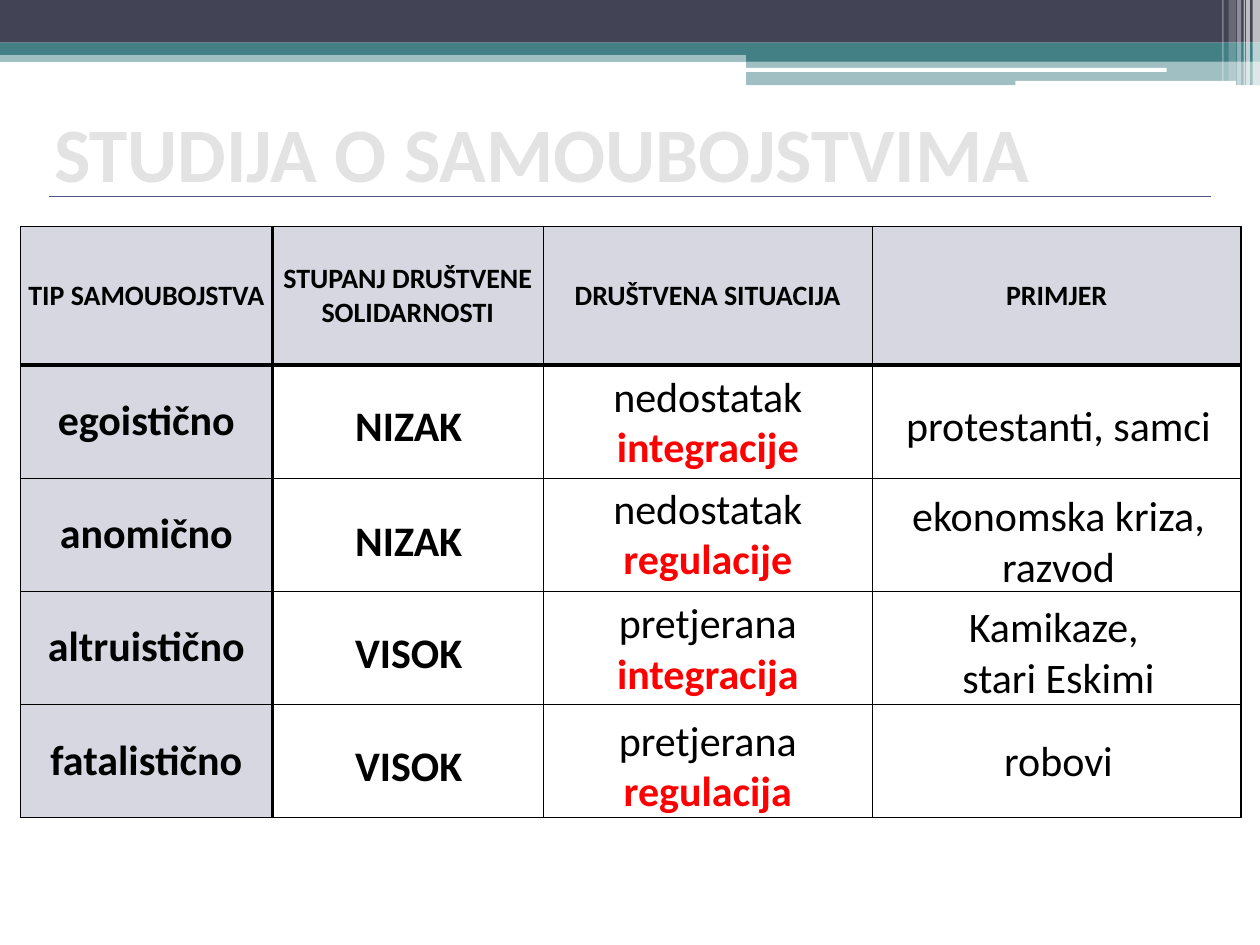
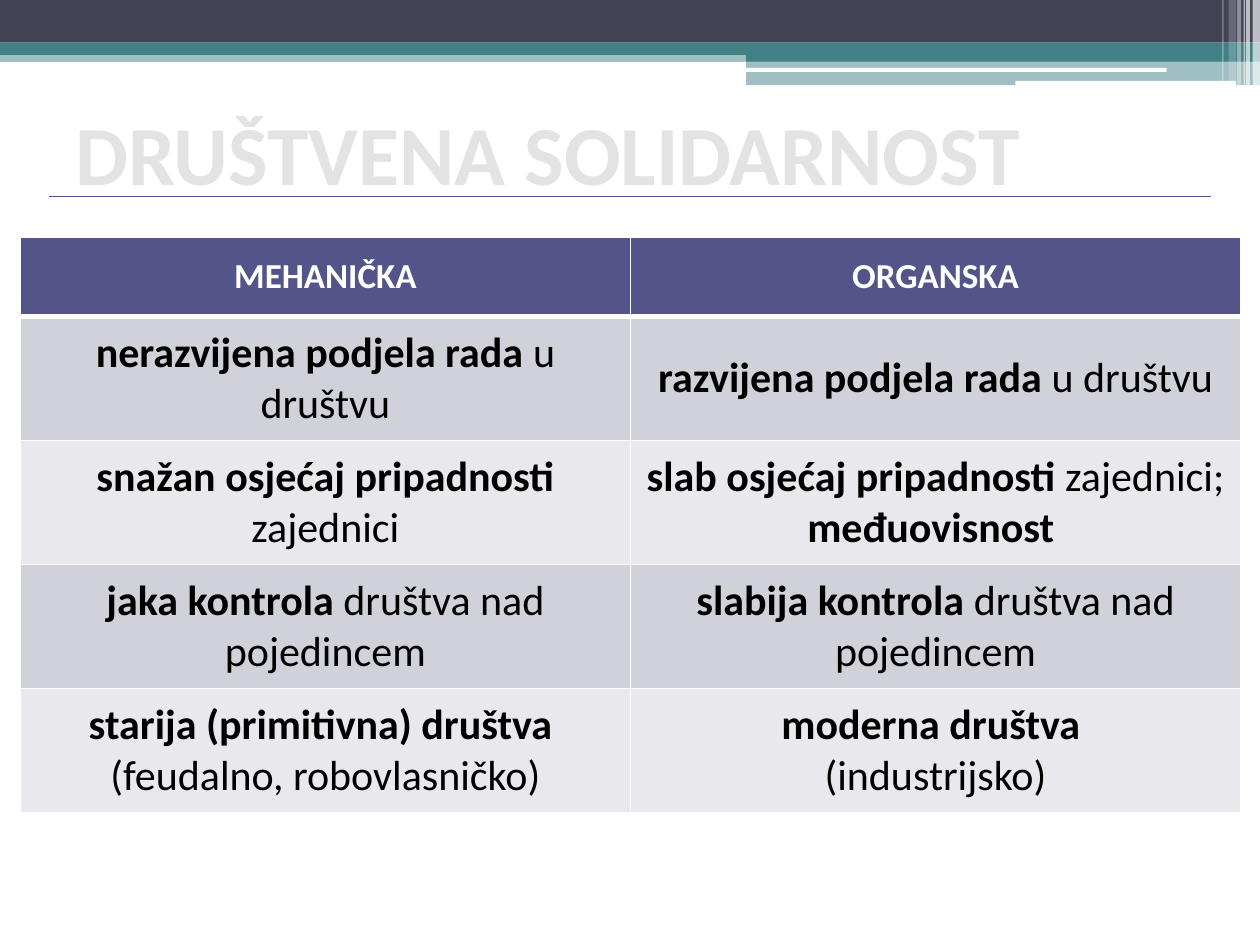
from lxml import etree
from pptx import Presentation
from pptx import util as u
from pptx.dml.color import RGBColor
from pptx.enum import shapes, text
from pptx.oxml.ns import qn

Cm, Pt = u.Cm, u.Pt
FONT = "Calibri"
COLORS = {
    "navy": "424456", "teal": "438086", "white": "FFFFFF", "black": "000000",
    "violet": "53548A", "title": "E3E3E3", "outline": "3D405C", "red": "FF0000",
    "lilac": "D6D7E0", "band dark": "D1D1DA", "band light": "E9E9ED",
}
WIDTH, HEIGHT = 25.4, 19.05

# left, top, width, height in cm, colour, opacity in percent
BANDS = [
    (0, 1.02, WIDTH, 0.23, "teal", 50),
    (0, 0, WIDTH, 0.86, "navy", 100),
    (0, 0.86, WIDTH, 0.25, "teal", 100),
    (15.04, 0.99, 10.36, 0.25, "teal", 100),
    (15.04, 1.22, 10.36, 0.5, "teal", 50),
]
ROUNDED_BARS = [
    (15.01, 1.37, 8.51, 0.08, "white", 100),
    (20.47, 1.63, 4.45, 0.1, "white", 100),
]
STRIPES = [
    (25.25, 0, 0.15, 1.73, "white", 65),
    (25.12, 0, 0.08, 1.73, "white", 65),
    (25.07, 0, 0.03, 1.73, "white", 60),
    (24.94, 0, 0.08, 1.73, "white", 40),
    (24.77, 0, 0.15, 1.63, "white", 20),
    (24.64, 0, 0.03, 1.63, "white", 30),
]

# Text between double asterisks is bold; a line break starts a paragraph.
SUICIDE = {
    "title": "STUDIJA O SAMOUBOJSTVIMA",
    "headers": ["TIP SAMOUBOJSTVA", "STUPANJ DRUŠTVENE SOLIDARNOSTI",
                "DRUŠTVENA SITUACIJA", "PRIMJER"],
    "types": ["egoistično", "anomično", "altruistično", "fatalistično"],
    # each answer: top in cm, number of lines, text
    "answers": [
        {"left": 17.68, "width": 7.32, "items": [
            (7.92, 1, "protestanti, samci"),
            (9.75, 2, "ekonomska kriza, razvod"),
            (11.99, 2, "Kamikaze, \nstari Eskimi"),
            (14.68, 1, "robovi")]},
        {"left": 5.56, "width": 5.36, "items": [
            (7.92, 1, "**NIZAK**"),
            (10.24, 1, "**NIZAK**"),
            (12.5, 1, "**VISOK**"),
            (14.78, 1, "**VISOK**")]},
        {"left": 11.3, "width": 5.94, "strong": "red", "items": [
            (7.34, 2, "nedostatak **integracije**"),
            (9.6, 2, "nedostatak **regulacije**"),
            (11.91, 2, "pretjerana **integracija**"),
            (14.27, 2, "pretjerana **regulacija**")]},
    ],
}
SOLIDARITY = {
    "title": "DRUŠTVENA SOLIDARNOST",
    "headers": ["MEHANIČKA", "ORGANSKA"],
    "rows": [
        ("**nerazvijena podjela rada **u društvu",
         "**razvijena podjela rada **u društvu"),
        ("**snažan osjećaj pripadnosti **zajednici",
         "**slab osjećaj pripadnosti **zajednici; **međuovisnost **"),
        ("**jaka kontrola **društva nad pojedincem",
         "**slabija kontrola **društva nad pojedincem"),
        ("**starija (primitivna) društva **\n(feudalno, robovlasničko)",
         "**moderna društva **\n(industrijsko)"),
    ],
}


def rgb(color):
    return RGBColor.from_string(COLORS[color])


def style_run(run, size, color, bold):
    run.font.name, run.font.size, run.font.bold = FONT, Pt(size), bold
    run.font.color.rgb = rgb(color)


def write(frame, marked, size, color="black", strong=None):
    """Write centred text, with the bold parts in the strong colour."""
    frame.text = ""
    for number, line in enumerate(marked.split("\n")):
        paragraph = frame.add_paragraph() if number else frame.paragraphs[0]
        paragraph.alignment = text.PP_ALIGN.CENTER
        for position, part in enumerate(line.split("**")):
            if part:
                bold = position % 2 == 1
                run = paragraph.add_run()
                run.text = part
                style_run(run, size, strong if bold and strong else color, bold)


def add_line_xml(parent, tag, color, points, index):
    line = etree.Element(qn(tag), w=str(Pt(points)))
    fill = etree.SubElement(line, qn("a:solidFill"))
    etree.SubElement(fill, qn("a:srgbClr"), val=COLORS[color])
    parent.insert(index, line)


def add_bar(slide, preset, bar):
    *place, color, opacity = bar
    shape = slide.shapes.add_shape(preset, *map(Cm, place))
    shape.shadow.inherit = False
    shape.line.fill.background()
    shape.fill.solid()
    shape.fill.fore_color.rgb = rgb(color)
    if opacity < 100:
        tint = shape.fill._xPr.find(".//" + qn("a:srgbClr"))
        etree.SubElement(tint, qn("a:alpha"), val=str(opacity * 1000))


def add_box(slide, left, top, width, height):
    frame = slide.shapes.add_textbox(*map(Cm, (left, top, width, height))).text_frame
    frame.word_wrap = True
    return frame


def add_base(deck, title, title_left, title_size):
    """Add a slide with the bands, the rule and the title."""
    slide = deck.slides.add_slide(deck.slide_layouts[6])
    preset = shapes.MSO_SHAPE
    for kind, bars in ((preset.RECTANGLE, BANDS),
                       (preset.ROUNDED_RECTANGLE, ROUNDED_BARS),
                       (preset.RECTANGLE, STRIPES)):
        for bar in bars:
            add_bar(slide, kind, bar)

    rule = slide.shapes.add_connector(
        shapes.MSO_CONNECTOR.STRAIGHT, Cm(0.99), Cm(3.96), Cm(WIDTH - 0.99), Cm(3.96))
    rule.line.color.rgb = rgb("violet")
    rule.line.width = Pt(0.75)
    etree.SubElement(rule._element.spPr, qn("a:effectLst"))

    frame = add_box(slide, title_left, 1.57, 22.86, 2.97)
    frame.vertical_anchor = text.MSO_ANCHOR.MIDDLE
    frame.text = title
    run = frame.paragraphs[0].runs[0]
    style_run(run, title_size, "title", True)
    add_line_xml(run._r.get_or_add_rPr(), "a:ln", "outline", 1, 0)
    return slide


def add_grid(slide, top, widths, heights, line_color, verticals, horizontals):
    """Add a plain table; verticals and horizontals are the line widths in points."""
    table = slide.shapes.add_table(
        len(heights), len(widths), Cm(0.41), Cm(top),
        Cm(sum(widths)), Cm(sum(heights))).table
    table.first_row = table.horz_banding = False
    for column, width in zip(table.columns, widths):
        column.width = Cm(width)
    for r, height in enumerate(heights):
        table.rows[r].height = Cm(height)
        for c in range(len(widths)):
            cell = table.cell(r, c)
            cell.vertical_anchor = text.MSO_ANCHOR.MIDDLE
            cell.fill.background()
            edges = {"L": verticals[c], "R": verticals[c + 1],
                     "T": horizontals[r], "B": horizontals[r + 1]}
            for index, (side, points) in enumerate(edges.items()):
                add_line_xml(cell._tc.get_or_add_tcPr(), "a:ln" + side,
                             line_color, points, index)
    return table


def fill_cell(cell, fill, marked, size, color="black"):
    cell.fill.solid()
    cell.fill.fore_color.rgb = rgb(fill)
    write(cell.text_frame, marked, size, color)


def add_suicide_slide(deck):
    slide = add_base(deck, SUICIDE["title"], 0.84, 44)
    table = add_grid(slide, 4.57, [5.08, 5.46, 6.63, 7.44], [2.79] + [2.28] * 4,
                     "black", [1, 2.25, 0.25, 0.25, 1],
                     [1, 2.25, 0.25, 0.25, 0.25, 1])
    labels = [(0, c, header, 16) for c, header in enumerate(SUICIDE["headers"])]
    labels += [(r, 0, kind, 24) for r, kind in enumerate(SUICIDE["types"], 1)]
    for r, c, label, size in labels:
        cell = table.cell(r, c)
        cell.margin_left = cell.margin_right = Cm(0.13)
        fill_cell(cell, "lilac", f"**{label}**", size)
    for column in SUICIDE["answers"]:
        for top, lines, answer in column["items"]:
            frame = add_box(slide, column["left"], top, column["width"],
                            0.27 + 1.02 * lines)
            write(frame, answer, 24, strong=column.get("strong"))


def add_solidarity_slide(deck):
    slide = add_base(deck, SOLIDARITY["title"], 1.27, 48)
    table = add_grid(slide, 4.78, [12.3] * 2, [1.6] + [2.5] * 4,
                     "white", [1] * 3, [1, 3, 1, 1, 1, 1])
    for c, header in enumerate(SOLIDARITY["headers"]):
        fill_cell(table.cell(0, c), "violet", f"**{header}**", 20, "white")
    for r, row in enumerate(SOLIDARITY["rows"], 1):
        for c, trait in enumerate(row):
            fill_cell(table.cell(r, c), "band dark" if r % 2 else "band light", trait, 24)


def main():
    deck = Presentation()
    deck.slide_width, deck.slide_height = Cm(WIDTH), Cm(HEIGHT)
    add_suicide_slide(deck)
    add_solidarity_slide(deck)
    deck.save("out.pptx")


if __name__ == "__main__":
    main()
